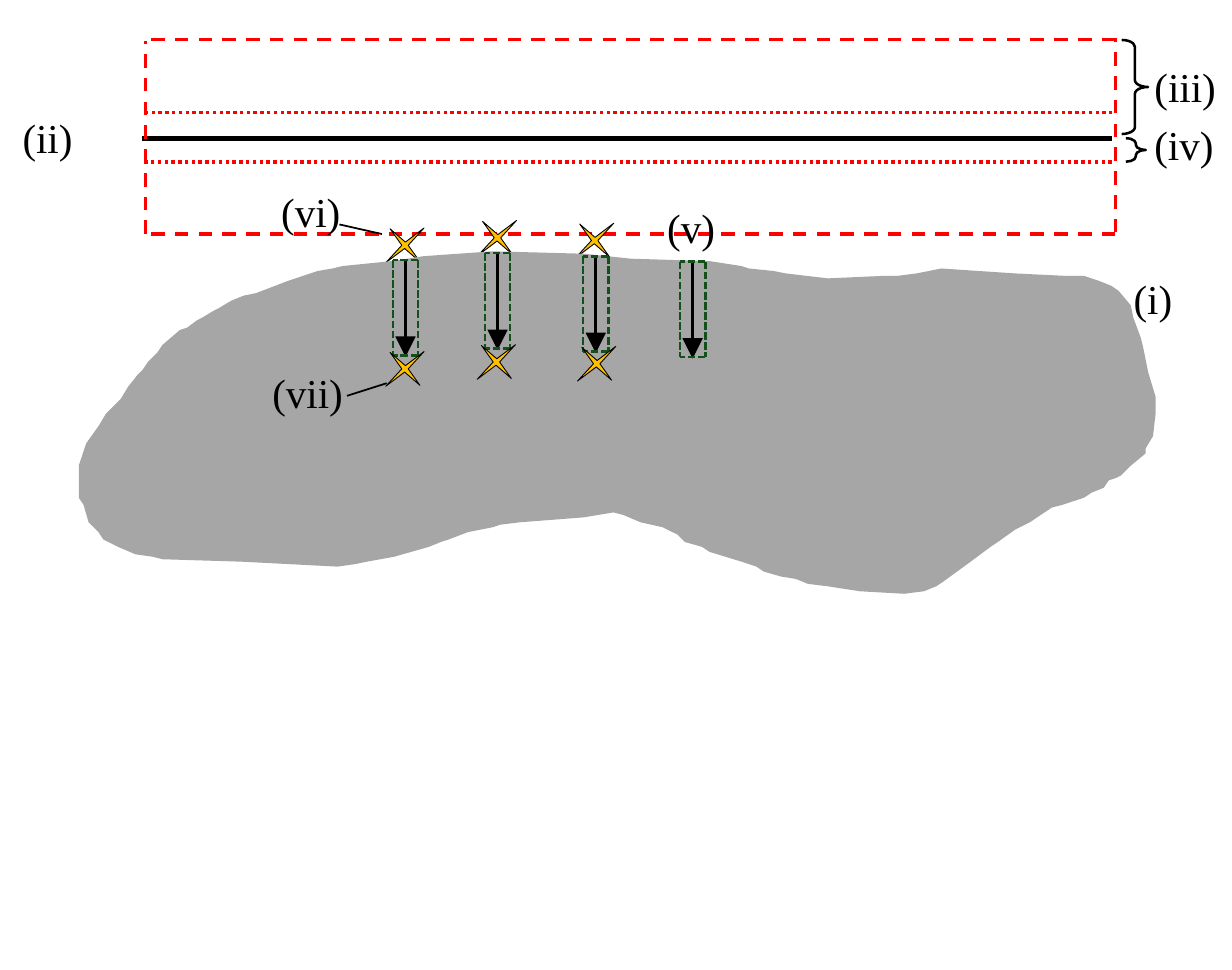
"""Draw the labelled outline, its dashed zone and the starred shafts."""
import dataclasses
import typing

import lxml.etree
import pptx
import pptx.dml.color
import pptx.enum.dml
import pptx.enum.shapes
import pptx.enum.text
import pptx.oxml.ns
import pptx.util

Pt = pptx.util.Pt
Shape = pptx.enum.shapes.MSO_SHAPE
Dash = pptx.enum.dml.MSO_LINE


@dataclasses.dataclass(frozen=True)
class Theme:
    black: str = "000000"
    red: str = "FF0000"
    green: str = "13501B"
    gold: str = "FFC000"
    gray: str = "A6A6A6"
    face: str = "Times New Roman"
    size: float = 12


class Pen(typing.NamedTuple):
    color: str
    width: float
    dash: typing.Any = None
    arrow: bool = False


class Rule(typing.NamedTuple):
    x1: float
    y1: float
    x2: float
    y2: float
    pen: Pen


class Label(typing.NamedTuple):
    text: str
    left: float
    top: float
    width: float
    wrap: bool = False


class Form(typing.NamedTuple):
    kind: typing.Any
    left: float
    top: float
    width: float
    height: float
    bend: float
    pen: Pen
    fill: typing.Optional[str] = None
    turn: float = 0


class Shaft(typing.NamedTuple):
    mid: float
    top: float


THEME = Theme()
SOLID = Pen(THEME.black, 1.5)
EDGE = Pen(THEME.red, 1, Dash.DASH)
DOTS = Pen(THEME.red, 1, Dash.ROUND_DOT)
CURVE = Pen(THEME.black, 0.75)
THIN = Pen(THEME.black, 0.25)
LEAD = Pen(THEME.black, 0.5)
ARROW = Pen(THEME.black, 1, None, True)
FRAME = Pen(THEME.green, 0.75, Dash.SQUARE_DOT)
HALF, DEPTH = 3.7, 27.9

ZONE = [
    Rule(325.9, 67.9, 325.9, 11, EDGE),
    Rule(325.9, 68.4, 42.5, 68.4, EDGE),
    Rule(325.9, 11.5, 42.5, 11.5, EDGE),
    Rule(42.5, 68.4, 42.5, 12, EDGE),
    Rule(324.9, 47.4, 42, 47.4, DOTS),
    Rule(325.1, 32.8, 42, 32.8, DOTS),
]
LEADS = [Rule(99.2, 65.6, 111.6, 68.4, LEAD), Rule(101.4, 115.7, 113, 112, LEAD)]
BRACES = [
    Form(Shape.RIGHT_BRACE, 327.8, 11.7, 7.7, 27.5, 0.26, CURVE),
    Form(Shape.RIGHT_BRACE, 329, 40.4, 5.8, 6.9, 0.26, CURVE),
]
UPPER = [(110.8, 65.2), (166.2, 63.8), (137.8, 63)]
LOWER = [(110.8, 101.3), (137.5, 99.3), (166.8, 99.8)]
SHAFTS = [Shaft(118.5, 76), Shaft(145.4, 74), Shaft(174.1, 74.9), Shaft(202.4, 76.5)]
SIDE = [
    Label("(ii)", -0.5, 29.3, 29.5),
    Label("(iii)", 330.3, 14.4, 33.1),
    Label("(iv)", 330.2, 31.5, 32.4),
]
NEAR = Label("(i)", 324.2, 76.3, 25.9, True)
NOTES = [
    Label("(v)", 187.9, 55.7, 28.8),
    Label("(vi)", 75.1, 51.1, 32.4),
    Label("(vii)", 72.5, 103.8, 35.3),
]
GRID = 0.72
BLOB = [
    (98, 228), (66, 227), (62, 226), (55, 225), (48, 222), (46, 221), (42, 219),
    (40, 216), (36, 212), (33.5, 205), (32.3, 202), (32.5, 189), (35, 180), (40, 173),
    (43, 168), (45, 166), (47, 164), (49, 162), (52, 157), (56, 152), (58, 150),
    (60, 147), (64, 143), (66, 140), (73, 134), (76, 133), (80, 130), (82, 129),
    (87, 126), (89, 125), (94, 122), (99, 120.5), (104, 119), (117, 114), (129, 110),
    (135, 109), (139, 108), (159, 106), (172, 104), (200, 102.5), (237, 103),
    (256, 105), (288, 106), (301, 108), (304, 109), (314, 110.5), (319, 111.3),
    (336, 113), (358, 112), (364, 111.5), (372, 110.7), (377, 109.7), (382, 109),
    (412, 111), (433, 112), (440, 112.5), (446, 114), (451, 116), (454, 118), (459, 124),
    (460, 129), (463, 137), (464, 141), (465, 146), (466, 151), (469, 161),
    (469, 168), (468, 177), (465, 182), (465, 184), (459, 189), (455, 193),
    (453, 194), (450, 195), (448, 198), (443, 200), (440, 202), (431, 205),
    (427, 206.5), (424, 208.5), (418, 212), (412, 215), (405, 220), (402, 222.5),
    (394, 228), (383, 236), (380, 238), (375, 239.5), (367, 241), (349, 240),
    (336, 238.5), (328, 237), (323, 235), (317, 233.5), (310, 231.5),
    (307, 230), (301, 228), (288, 224), (285, 222), (278, 219.5), (275, 217),
    (269, 213.5), (260, 211.5), (253, 209.3), (249, 208.5), (237, 210), (211, 211.5),
    (203, 213), (200, 214), (190, 215.5), (182, 219), (179, 220), (174, 221.5),
    (160, 226), (149, 228), (144, 229), (137, 229.5),
]


def hue(code: str) -> pptx.dml.color.RGBColor:
    return pptx.dml.color.RGBColor.from_string(code)


def assign(target: typing.Any, values: dict) -> None:
    for name, value in values.items():
        setattr(target, name, value)


def ink(line: typing.Any, pen: Pen) -> None:
    line.color.rgb = hue(pen.color)
    assign(line, {"width": Pt(pen.width), "dash_style": pen.dash})


def tag(parent: typing.Any, name: str, **values: str) -> None:
    lxml.etree.SubElement(parent, pptx.oxml.ns.qn(name), values)


def draw_rule(slide: typing.Any, rule: Rule) -> None:
    ends = (Pt(v) for v in rule[:4])
    link = slide.shapes.add_connector(pptx.enum.shapes.MSO_CONNECTOR.STRAIGHT, *ends)
    ink(link.line, rule.pen)
    if rule.pen.arrow:
        tag(link.line._get_or_add_ln(), "a:tailEnd", type="triangle")
    tag(link._element.spPr, "a:effectLst")


def draw_form(slide: typing.Any, form: Form) -> None:
    shape = slide.shapes.add_shape(form.kind, *(Pt(v) for v in form[1:5]))
    shape.shadow.inherit = False
    shape.adjustments[0] = form.bend
    shape.rotation = form.turn
    ink(shape.line, form.pen)
    if form.fill:
        shape.fill.solid()
        shape.fill.fore_color.rgb = hue(form.fill)
    else:
        shape.fill.background()


def draw_star(slide: typing.Any, left: float, top: float) -> None:
    draw_form(slide, Form(Shape.STAR_4_POINT, left, top, 15.1, 13, 0.067, THIN, THEME.gold, 137.8))


def draw_label(slide: typing.Any, label: Label) -> None:
    box = slide.shapes.add_textbox(Pt(label.left), Pt(label.top), Pt(label.width), Pt(21.6))
    fit = pptx.enum.text.MSO_AUTO_SIZE.SHAPE_TO_FIT_TEXT
    assign(box.text_frame, {"word_wrap": label.wrap, "auto_size": fit})
    run = box.text_frame.paragraphs[0].add_run()
    run.text = label.text
    assign(run.font, {"name": THEME.face, "size": Pt(THEME.size)})
    run.font.color.rgb = hue(THEME.black)


def draw_blob(slide: typing.Any) -> None:
    pen = slide.shapes.build_freeform(*BLOB[0], scale=Pt(GRID))
    pen.add_line_segments(BLOB[1:], close=True)
    shape = pen.convert_to_shape()
    shape.shadow.inherit = False
    shape.fill.solid()
    shape.fill.fore_color.rgb = hue(THEME.gray)
    shape.line.fill.background()


def draw_shaft(slide: typing.Any, shaft: Shaft) -> None:
    mid, top = shaft
    left, right, base = mid - HALF, mid + HALF, top + DEPTH
    draw_rule(slide, Rule(mid, top, mid, base + 0.4, ARROW))
    for y in (top, base):
        draw_rule(slide, Rule(right, y, left, y, FRAME))
    for x in (right, left):
        draw_rule(slide, Rule(x, top, x, base, FRAME))


def main() -> None:
    deck = pptx.Presentation()
    deck.slide_width = Pt(360)
    deck.slide_height = Pt(283.5)
    slide = deck.slides.add_slide(deck.slide_layouts[6])
    draw_rule(slide, Rule(324.9, 40.5, 41.6, 40.5, SOLID))
    for draw, items in ((draw_label, SIDE), (draw_rule, ZONE), (draw_form, BRACES)):
        for item in items:
            draw(slide, item)
    for spot in UPPER:
        draw_star(slide, *spot)
    draw_blob(slide)
    draw_label(slide, NEAR)
    for shaft in SHAFTS:
        draw_shaft(slide, shaft)
    for spot in LOWER:
        draw_star(slide, *spot)
    for draw, items in ((draw_label, NOTES), (draw_rule, LEADS)):
        for item in items:
            draw(slide, item)
    deck.save("out.pptx")


if __name__ == "__main__":
    main()
